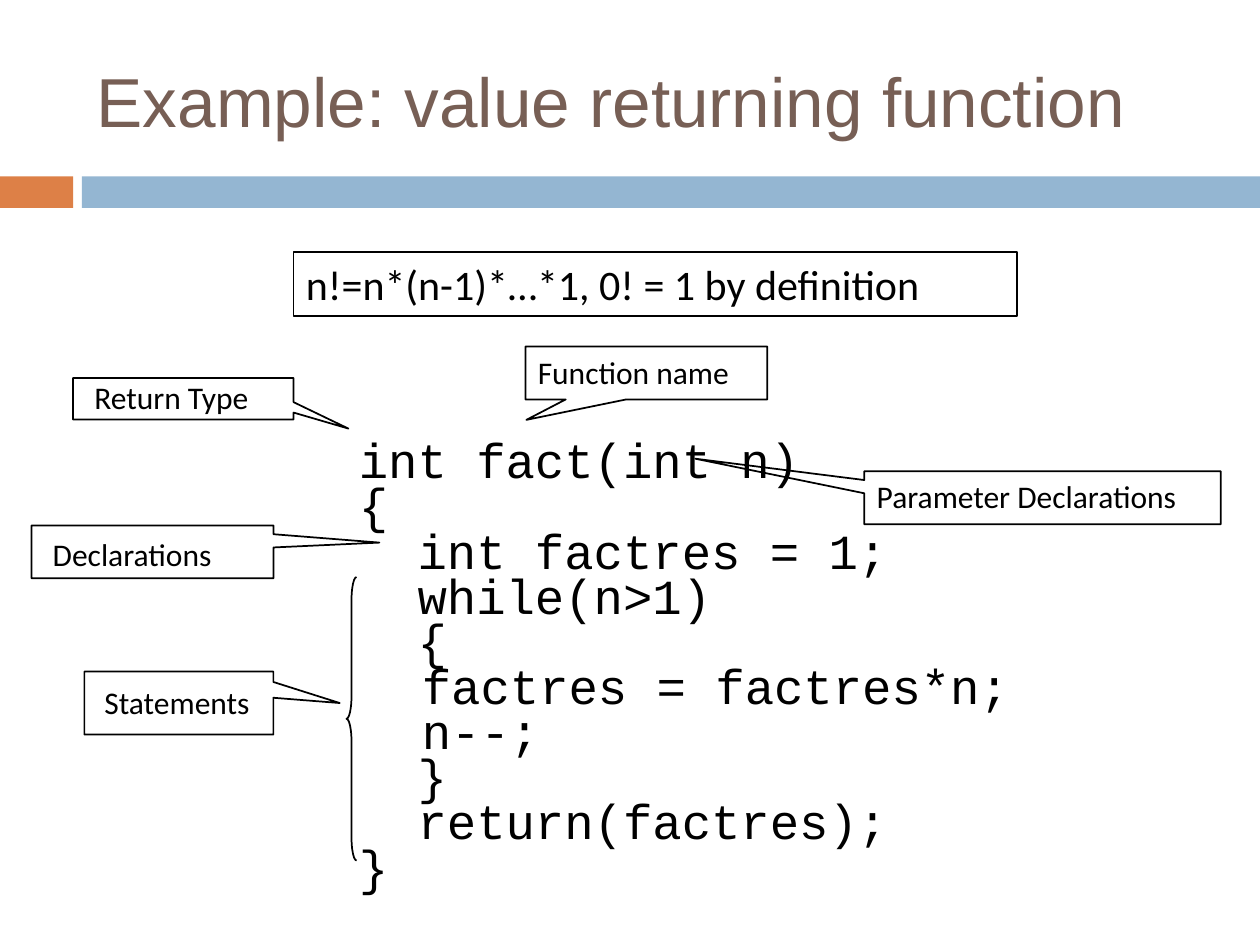
from dataclasses import dataclass

from pptx import Presentation
from pptx import util as u
from pptx.dml.color import RGBColor
from pptx.enum import shapes, text


@dataclass(frozen=True)
class Theme:
    ink: str = "000000"
    heading: str = "775F55"
    accent: str = "DD8047"
    band: str = "94B6D2"
    title_font: str = "Arial"
    body_font: str = "Calibri"
    code_font: str = "Courier New"
    title_size: float = 39.6
    formula_size: float = 24
    label_size: float = 18
    code_size: float = 28
    code_pitch: float = 25.8
    outline: float = 1


THEME = Theme()
KIND = shapes.MSO_SHAPE

CODE = [
    "int fact(int n)",
    "{",
    "  int factres = 1;",
    "  while(n>1)",
    "  {",
    "\tfactres = factres*n;",
    "\tn--;",
    "  }",
    "  return(factres);",
    "}",
]

CALLOUTS = [
    ("Return Type", (0.65, 2.95, 1.56, 0.4), (0.58, 3, 1.75, 0.33), (0.749, 0.719)),
    ("Function name", (4.17, 2.75, 1.83, 0.4), (4.17, 2.75, 1.92, 0.42), (-0.496, 0.887)),
    ("Parameter Declarations", (6.86, 3.74, 3, 0.4), (6.86, 3.74, 2.83, 0.42), (-0.974, -0.738)),
    ("Declarations", (0.32, 4.2, 1.56, 0.4), (0.25, 4.17, 1.92, 0.42), (0.938, -0.175)),
    ("Statements", (0.73, 5.37, 1.45, 0.4), (0.67, 5.33, 1.5, 0.5), (0.851, 0)),
]


def inches(box):
    return [u.Inches(length) for length in box]


def write(frame, lines, size, font=THEME.body_font, color=THEME.ink,
          anchor=text.MSO_ANCHOR.TOP, pitch=None):
    frame.word_wrap = True
    frame.vertical_anchor = anchor
    for index, line in enumerate(lines):
        para = frame.add_paragraph() if index else frame.paragraphs[0]
        para.alignment = text.PP_ALIGN.LEFT
        if pitch:
            para.line_spacing = u.Pt(pitch)
        span = para.add_run()
        span.text = line
        span.font.size = u.Pt(size)
        span.font.name = font
        span.font.color.rgb = RGBColor.from_string(color)


def draw(page, kind, box, fill=None, line=None, adjustments=()):
    shape = page.shapes.add_shape(kind, *inches(box))
    shape.shadow.inherit = False
    if fill:
        shape.fill.solid()
        shape.fill.fore_color.rgb = RGBColor.from_string(fill)
    else:
        shape.fill.background()
    if line:
        shape.line.color.rgb = RGBColor.from_string(line)
        shape.line.width = u.Pt(THEME.outline)
    else:
        shape.line.fill.background()
    for index, value in enumerate(adjustments):
        shape.adjustments[index] = value
    return shape


def add_header(page, box):
    left, top, width, height = box
    draw(page, KIND.RECTANGLE, (left, top + 1.4, 0.58, 0.25), fill=THEME.accent)
    draw(page, KIND.RECTANGLE, (left + 0.65, top + 1.4, width - 0.65, 0.25), fill=THEME.band)
    title = page.shapes.add_textbox(*inches((left + 0.67, top + 0.25, 8.92, 1.08)))
    write(title.text_frame, ["Example: value returning function"], THEME.title_size,
          font=THEME.title_font, color=THEME.heading, anchor=text.MSO_ANCHOR.MIDDLE)


def add_code(page, box):
    listing = page.shapes.add_textbox(*inches(box))
    listing.text_frame.margin_top = u.Inches(0.44)
    write(listing.text_frame, CODE, THEME.code_size, font=THEME.code_font,
          pitch=THEME.code_pitch)


def add_formula(page, box):
    formula = draw(page, KIND.RECTANGLE, box, line=THEME.ink)
    write(formula.text_frame, ["n!=n*(n-1)*…*1, 0! = 1 by definition"], THEME.formula_size)


def add_callout(page, label, label_box, box, pointer):
    caption = page.shapes.add_textbox(*inches(label_box))
    write(caption.text_frame, [label], THEME.label_size)
    draw(page, KIND.RECTANGULAR_CALLOUT, box, line=THEME.ink, adjustments=pointer)


def add_brace(page, box):
    draw(page, KIND.LEFT_BRACE, box, line=THEME.ink, adjustments=(2.25, 0.5))


def main():
    deck = Presentation()
    deck.slide_width, deck.slide_height = inches((10, 7.5))
    page = deck.slides.add_slide(deck.slide_layouts[6])
    add_header(page, (0, 0, 10, 1.65))
    add_code(page, (2.75, 3.08, 6.58, 4.18))
    add_formula(page, (2.33, 2, 5.74, 0.51))
    for callout in CALLOUTS:
        add_callout(page, *callout)
    add_brace(page, (2.75, 4.58, 0.08, 2.25))
    deck.save("out.pptx")


if __name__ == "__main__":
    main()
